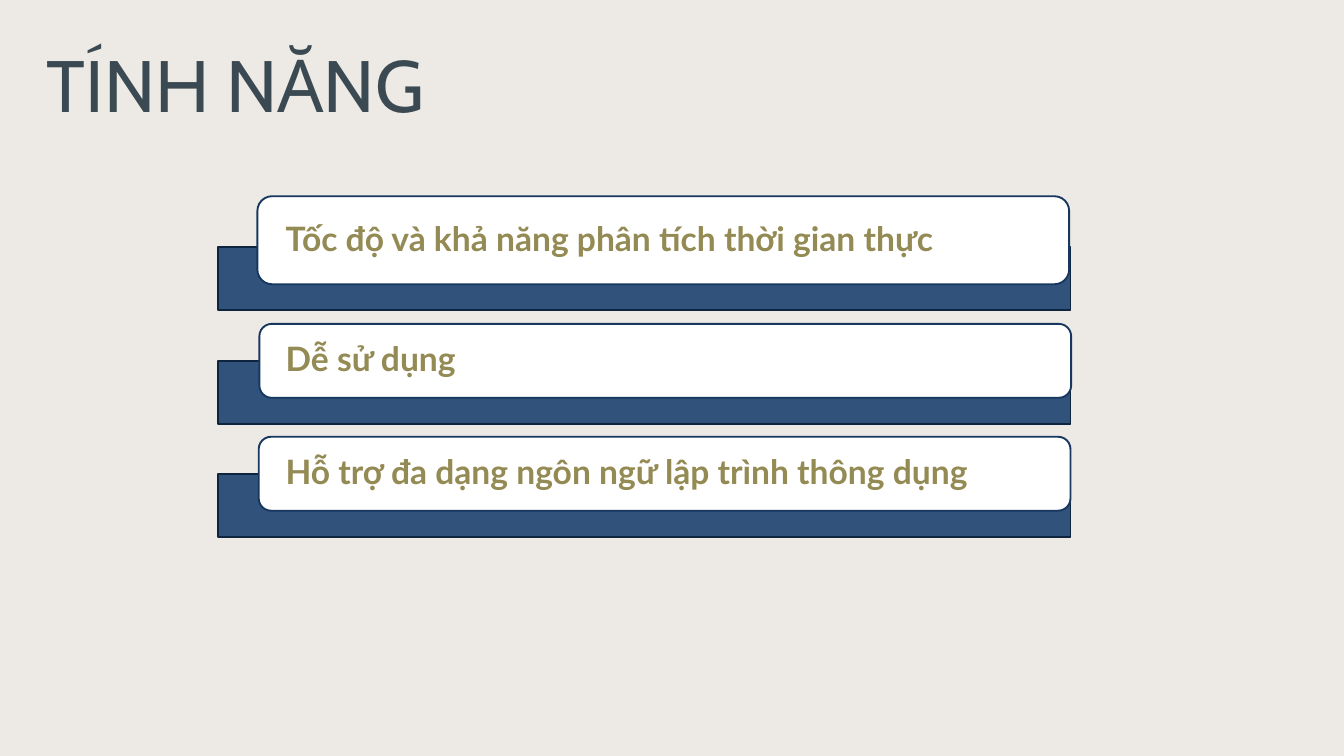
from lxml import etree
from pptx import Presentation
from pptx.dml.color import RGBColor
from pptx.enum.shapes import MSO_SHAPE as SHAPE
from pptx.enum.text import MSO_ANCHOR as ANCHOR
from pptx.oxml.ns import qn
from pptx.util import Inches, Pt

COLORS = {
    "background": "EDEAE5",
    "title": "3B4A52",
    "bar": "1C4270",
    "bar_line": "0F243E",
    "card": "FFFFFF",
    "card_line": "17375E",
    "feature": "948A54",
}

# Bar top, card left, card height, text
FEATURES = [
    (3.68, 3.83, 1.31, "Tốc độ và khả năng phân tích thời gian thực"),
    (5.37, 3.86, 1.1, "Dễ sử dụng"),
    (7.05, 3.85, 1.1, "Hỗ trợ đa dạng ngôn ngữ lập trình thông dụng"),
]
BAR_LEFT, BAR_WIDTH, BAR_HEIGHT = 3.25, 12.68, 0.94
CARD_WIDTH, CARD_OVERLAP = 12.08, 0.55
TEXT_LEFT, TEXT_WIDTH, TEXT_MARGIN = 3.91, 11.97, 0.06


def color(name):
    return RGBColor.from_string(COLORS[name])


def add_box(slide, kind, box, fill, line):
    s = slide.shapes.add_shape(kind, *map(Inches, box))
    s.shadow.inherit = False
    s.fill.solid()
    s.fill.fore_color.rgb = color(fill)
    s.line.color.rgb = color(line)
    s.line.width = Pt(2)
    return s


def add_text(slide, box, text, font, size, fill, bold=False):
    tf = slide.shapes.add_textbox(*map(Inches, box)).text_frame
    tf.word_wrap = True
    tf.text = text
    f = tf.paragraphs[0].runs[0].font
    f.name, f.size, f.bold = font, Pt(size), bold
    f.color.rgb = color(fill)
    return tf


def set_opacity(s, percent):
    clr = s.fill._xPr.find(qn("a:solidFill"))[0]
    etree.SubElement(clr, qn("a:alpha")).set("val", str(percent * 1000))


def add_feature(slide, bar_top, card_left, card_height, text):
    # Bar behind the card
    bar = add_box(slide, SHAPE.RECTANGLE,
                  (BAR_LEFT, bar_top, BAR_WIDTH, BAR_HEIGHT), "bar", "bar_line")
    set_opacity(bar, 90)

    # Rounded card, reaching down into the bar
    card_top = bar_top + CARD_OVERLAP - card_height
    add_box(slide, SHAPE.ROUNDED_RECTANGLE,
            (card_left, card_top, CARD_WIDTH, card_height), "card", "card_line")

    # Label
    tf = add_text(slide, (TEXT_LEFT, card_top + TEXT_MARGIN, TEXT_WIDTH,
                          card_height - 2 * TEXT_MARGIN),
                  text, "Lato", 36, "feature", bold=True)
    tf.vertical_anchor = ANCHOR.MIDDLE
    tf.margin_left = tf.margin_right = Inches(0.34)
    tf.margin_top = tf.margin_bottom = 0
    tf.paragraphs[0].line_spacing = 0.9


def main():
    prs = Presentation()
    prs.slide_width, prs.slide_height = Inches(20), Inches(11.25)
    slide = prs.slides.add_slide(prs.slide_layouts[6])
    slide.background.fill.solid()
    slide.background.fill.fore_color.rgb = color("background")

    add_text(slide, (0.6, 0.54, 9.4, 1.41), "TÍNH NĂNG", "Cabin", 78, "title")
    for feature in FEATURES:
        add_feature(slide, *feature)

    prs.save("out.pptx")


if __name__ == "__main__":
    main()
